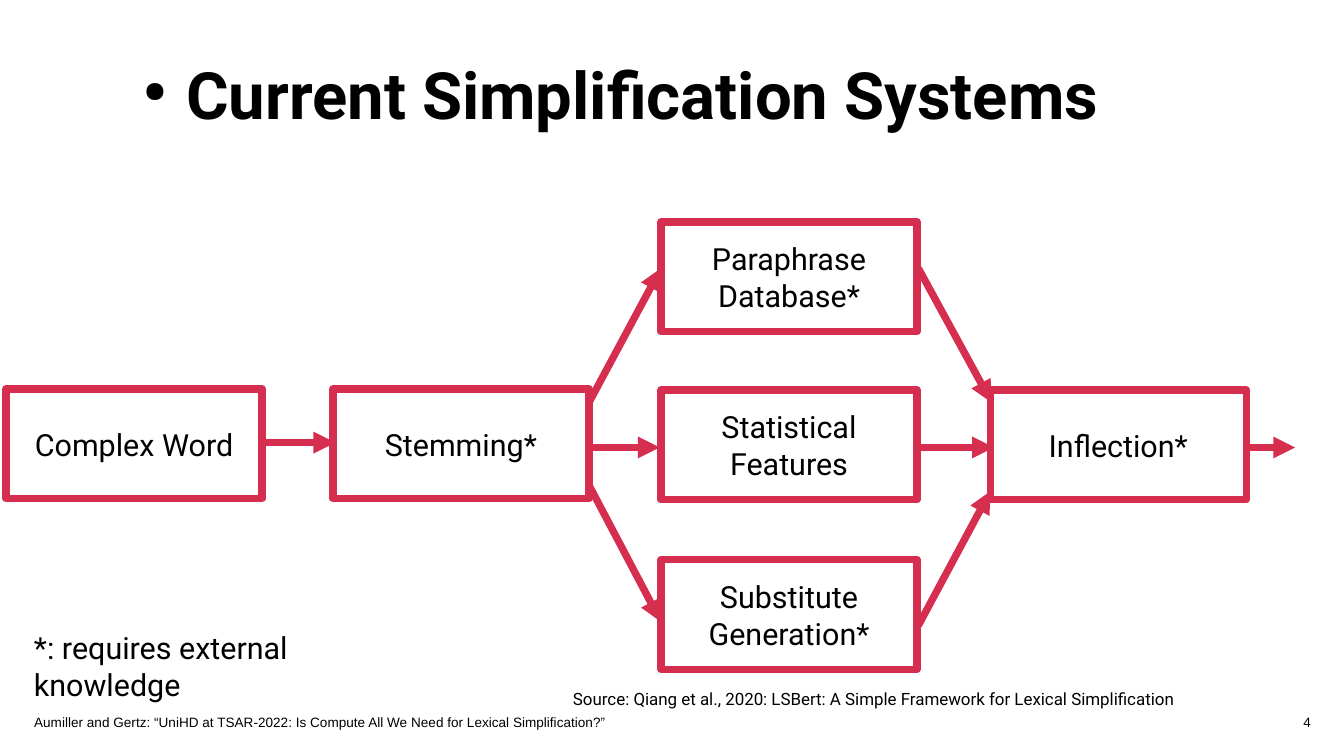
from lxml import etree
from pptx import Presentation
from pptx.dml.color import RGBColor
from pptx.enum.shapes import MSO_CONNECTOR, MSO_SHAPE
from pptx.enum.text import MSO_ANCHOR, PP_ALIGN
from pptx.oxml.ns import qn
from pptx.util import Emu, Pt

PX = 9144  # EMU per px, 100 px to the inch
COLORS = {"ink": "000000", "accent": "D62E4E"}
LEFT, CENTER, RIGHT = PP_ALIGN.LEFT, PP_ALIGN.CENTER, PP_ALIGN.RIGHT
TOP, MIDDLE, BOTTOM = MSO_ANCHOR.TOP, MSO_ANCHOR.MIDDLE, MSO_ANCHOR.BOTTOM
RECTANGLE = MSO_SHAPE.RECTANGLE
STRAIGHT = MSO_CONNECTOR.STRAIGHT
NO_INSETS = (0, 0, 0, 0)
INSETS = (10, 5, 10, 5)


def px(*lengths):
    return [Emu(length * PX) for length in lengths]


def color(name):
    return RGBColor.from_string(COLORS[name])


class SlideBuilder:
    font = "Roboto"
    line_width = Pt(4.31)

    def __init__(self, slide):
        self.slide = slide

    def add_lines(self, shape, lines, size, align, anchor, insets, wrap, font=None, bold=False):
        frame = shape.text_frame
        frame.word_wrap = wrap
        frame.vertical_anchor = anchor
        (frame.margin_left, frame.margin_top,
         frame.margin_right, frame.margin_bottom) = px(*insets)
        for index, line in enumerate(lines):
            paragraph = frame.add_paragraph() if index else frame.paragraphs[0]
            paragraph.alignment = align
            run = paragraph.add_run()
            run.text = line
            run.font.name = font or self.font
            run.font.size = Pt(size)
            run.font.bold = bold
            run.font.color.rgb = color("ink")

    def text(self, box, line, size, align=LEFT, anchor=TOP, insets=INSETS, **style):
        shape = self.slide.shapes.add_textbox(*px(*box))
        self.add_lines(shape, [line], size, align, anchor, insets, True, **style)
        return shape

    def title(self, box, line):
        # The right inset balances the line a little left of the middle
        shape = self.text(box, line, 38.5, CENTER, MIDDLE, (0, 0, 95, 0), bold=True)
        paragraph = shape.text_frame.paragraphs[0]
        paragraph.space_before = Pt(14.2)
        properties = paragraph._p.get_or_add_pPr()
        properties.set("marL", str(47 * PX))
        properties.set("indent", str(-35 * PX))
        bullet_color = etree.SubElement(properties, qn("a:buClr"))
        etree.SubElement(bullet_color, qn("a:srgbClr"), val=COLORS["ink"])
        etree.SubElement(properties, qn("a:buSzPct"), val="45000")
        etree.SubElement(properties, qn("a:buChar"), char="●")

    def step(self, left, top, lines):
        shape = self.slide.shapes.add_shape(RECTANGLE, *px(left, top, 210, 90))
        shape.shadow.inherit = False
        shape.fill.background()
        shape.line.color.rgb = color("accent")
        shape.line.width = self.line_width
        self.add_lines(shape, lines, 18, CENTER, MIDDLE, INSETS, False)

    def arrow(self, *ends):
        connector = self.slide.shapes.add_connector(STRAIGHT, *px(*ends))
        connector.line.color.rgb = color("accent")
        connector.line.width = self.line_width
        outline = connector._element.spPr.find(qn("a:ln"))
        etree.SubElement(outline, qn("a:tailEnd"), type="triangle")
        etree.SubElement(connector._element.spPr, qn("a:effectLst"))


def main():
    presentation = Presentation()
    presentation.slide_width, presentation.slide_height = px(1102, 620)
    slide = presentation.slides.add_slide(presentation.slide_layouts[6])
    builder = SlideBuilder(slide)

    # Title
    builder.title((55, 25, 992, 103), "Current Simplification Systems")

    # Pipeline steps
    steps = [
        (5, 319, ["Complex Word"]),
        (273, 319, ["Stemming*"]),
        (542, 182, ["Paraphrase", "Database*"]),
        (542, 320, ["Statistical", "Features"]),
        (542, 459, ["Substitute", "Generation*"]),
        (812, 320, ["Inflection*"]),
    ]
    for left, top, lines in steps:
        builder.step(left, top, lines)

    # Arrows between the steps
    arrows = [
        (216, 363, 275, 363),
        (483, 330, 542, 220),
        (481, 367, 541, 367),
        (483, 398, 542, 510),
        (753, 220, 813, 330),
        (755, 367, 815, 367),
        (753, 513, 812, 403),
        (1022, 367, 1062, 367),
    ]
    for ends in arrows:
        builder.arrow(*ends)

    # Legend and source
    builder.text((18, 511, 352, 69), "*: requires external knowledge", 18)
    builder.text(
        (460, 560, 540, 50),
        "Source: Qiang et al., 2020: LSBert: A Simple Framework for Lexical Simplification",
        10,
    )

    # Footer and page number
    footers = [
        (28, 734, LEFT, "Aumiller and Gertz: “UniHD at TSAR-2022: "
                        "Is Compute All We Need for Lexical Simplification?”"),
        (795, 280, RIGHT, "4"),
    ]
    for left, width, align, line in footers:
        builder.text((left, 582, width, 17), line, 8, align, BOTTOM, NO_INSETS, font="Arial")

    presentation.save("out.pptx")


if __name__ == "__main__":
    main()
